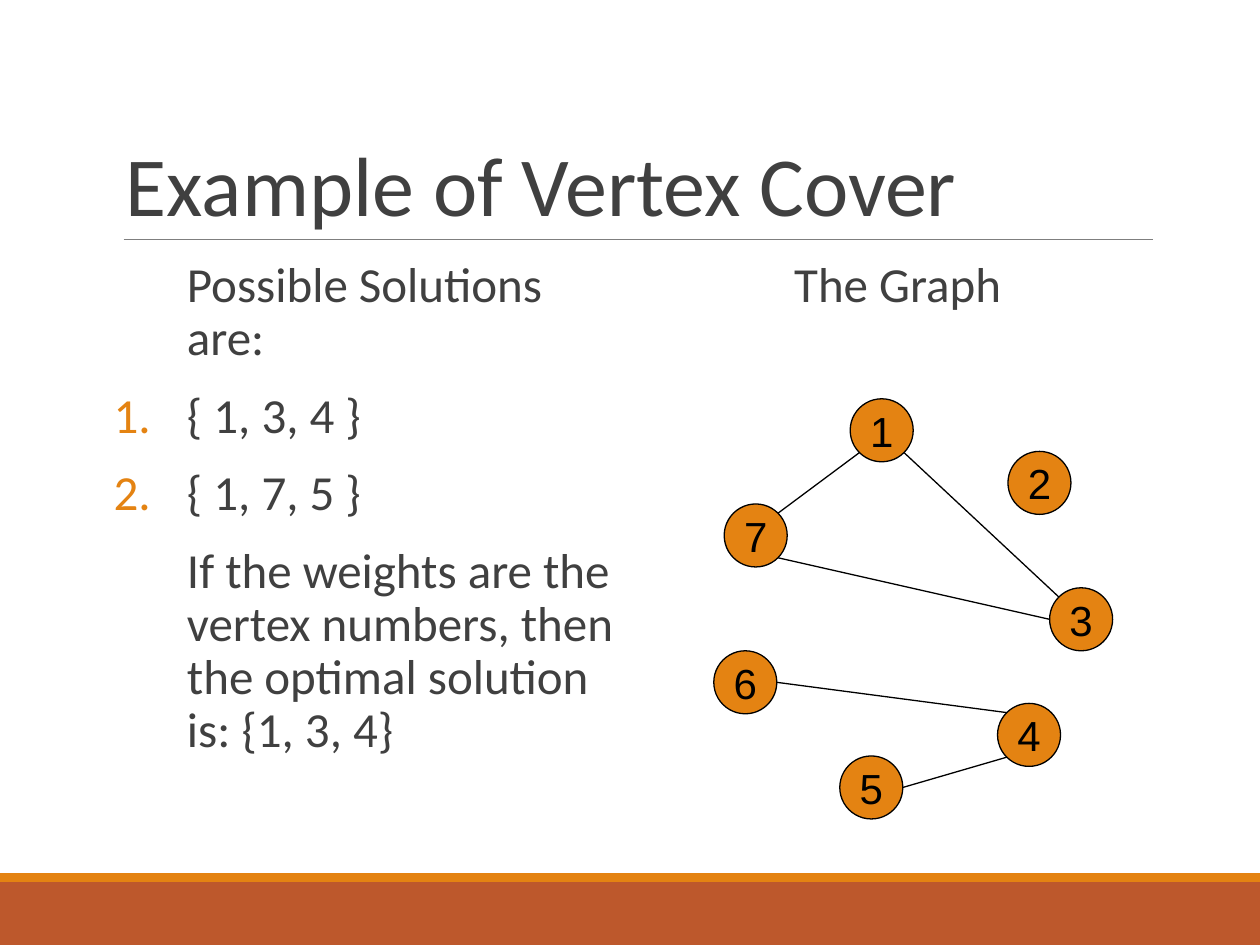
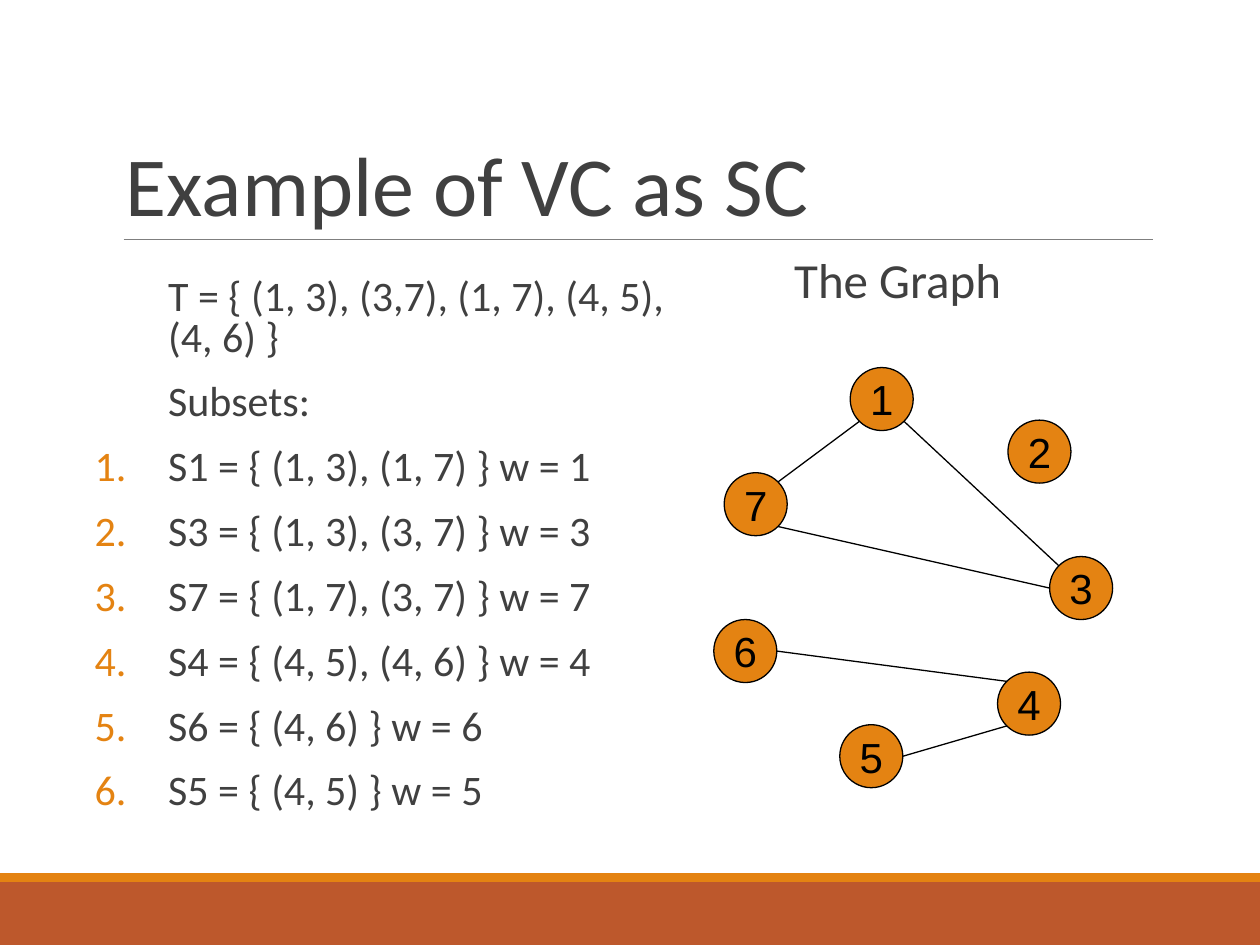
from dataclasses import dataclass

import lxml.etree
import pptx
import pptx.dml.color
import pptx.enum.shapes
import pptx.enum.text
import pptx.oxml.ns
import pptx.util

Cm = pptx.util.Cm
SHAPES = pptx.enum.shapes.MSO_SHAPE
ALIGN = pptx.enum.text.PP_ALIGN
ANCHOR = pptx.enum.text.MSO_ANCHOR

ORANGE = "E48312"
RUST = "BD582C"
INK = "404040"
GREY = "7F7F7F"
BLACK = "000000"

SLIDE_WIDTH = 25.4
SLIDE_HEIGHT = 19.05
NODE_SIZE = 1.27
GRAPH_LEFT = 14.39
HANGING = 1.48
DIAGONAL = 0.5 ** 0.5


@dataclass(frozen=True)
class Box:
    left: float
    top: float
    width: float
    height: float

    def lengths(self) -> list:
        return [Cm(value) for value in (self.left, self.top, self.width, self.height)]


@dataclass(frozen=True)
class Node:
    label: str
    left: float
    top: float


@dataclass(frozen=True)
class Edge:
    start: str
    start_side: tuple[float, float]
    end: str
    end_side: tuple[float, float]


@dataclass(frozen=True)
class Line:
    text: str
    numbered: bool = False


@dataclass(frozen=True)
class Page:
    title: str
    body: Box
    lines: list[Line]
    size: float
    spacing: float
    graph_top: float


TITLE_BOX = Box(2.29, 0.79, 20.96, 4.04)
HEADING_BOX = Box(12.95, 5.13, 10.29, 11.18)
BANDS = [
    (Box(0, 17.78, SLIDE_WIDTH, 1.27), RUST),
    (Box(0, 17.6, SLIDE_WIDTH, 0.18), ORANGE),
]

RIGHT = (1, 0)
LEFT = (-1, 0)
TOP_LEFT = (-DIAGONAL, -DIAGONAL)
TOP_RIGHT = (DIAGONAL, -DIAGONAL)
BOTTOM_LEFT = (-DIAGONAL, DIAGONAL)
BOTTOM_RIGHT = (DIAGONAL, DIAGONAL)

NODES = [
    Node("1", 2.75, 0),
    Node("2", 5.93, 1.06),
    Node("7", 0.21, 2.12),
    Node("4", 5.72, 6.14),
    Node("5", 2.54, 7.2),
    Node("3", 6.77, 3.81),
    Node("6", 0, 5.08),
]
EDGES = [
    Edge("1", BOTTOM_LEFT, "7", TOP_RIGHT),
    Edge("5", RIGHT, "4", BOTTOM_LEFT),
    Edge("3", LEFT, "7", BOTTOM_RIGHT),
    Edge("1", BOTTOM_RIGHT, "3", TOP_LEFT),
    Edge("6", RIGHT, "4", TOP_LEFT),
]

PAGES = [
    Page(
        "Example of Vertex Cover",
        Box(2.29, 5.13, 10.29, 11.18),
        [
            Line("Possible Solutions are:"),
            Line("{ 1, 3, 4 }", True),
            Line("{ 1, 7, 5 }", True),
            Line("If the weights are the vertex numbers, then the optimal solution is: {1, 3, 4}"),
        ],
        size=28,
        spacing=0.9,
        graph_top=8.04,
    ),
    Page(
        "Example of VC as SC",
        Box(1.91, 5.51, 12.27, 11.43),
        [
            Line("T = { (1, 3), (3,7), (1, 7), (4, 5), (4, 6) }"),
            Line("Subsets:"),
            Line("S1 = { (1, 3), (1, 7) } w = 1", True),
            Line("S3 = { (1, 3), (3, 7) } w = 3", True),
            Line("S7 = { (1, 7), (3, 7) } w = 7", True),
            Line("S4 = { (4, 5), (4, 6) } w = 4", True),
            Line("S6 = { (4, 6) } w = 6", True),
            Line("S5 = { (4, 5) } w = 5", True),
        ],
        size=24,
        spacing=0.8,
        graph_top=7.41,
    ),
]


def color(value: str) -> pptx.dml.color.RGBColor:
    return pptx.dml.color.RGBColor.from_string(value)


def add_child(parent, tag: str, **attributes: str):
    return lxml.etree.SubElement(parent, pptx.oxml.ns.qn(tag), attributes)


def write(paragraph, text: str, *, size: float, font: str = "Calibri", ink: str = INK,
          align=ALIGN.LEFT, spacing: float = 1.0, before: float = 0, after: float = 0):
    paragraph.alignment = align
    paragraph.line_spacing = spacing
    paragraph.space_before = pptx.util.Pt(before)
    paragraph.space_after = pptx.util.Pt(after)
    run = paragraph.add_run()
    run.text = text
    run.font.size = pptx.util.Pt(size)
    run.font.color.rgb = color(ink)
    run.font.name = font
    return run


def add_text_frame(slide, box: Box, *, side_inset: float = 0, anchor=ANCHOR.TOP):
    frame = slide.shapes.add_textbox(*box.lengths()).text_frame
    frame.word_wrap = True
    frame.vertical_anchor = anchor
    frame.margin_left = frame.margin_right = Cm(side_inset)
    return frame


def add_filled_shape(slide, kind, box: Box, fill: str):
    shape = slide.shapes.add_shape(kind, *box.lengths())
    shape.shadow.inherit = False
    shape.fill.solid()
    shape.fill.fore_color.rgb = color(fill)
    shape.line.fill.background()
    return shape


def add_line(slide, start: tuple[float, float], end: tuple[float, float],
             ink: str, width: float) -> None:
    connector = slide.shapes.add_connector(
        pptx.enum.shapes.MSO_CONNECTOR.STRAIGHT, *[Cm(value) for value in (*start, *end)])
    connector.line.color.rgb = color(ink)
    connector.line.width = pptx.util.Pt(width)
    add_child(connector._element.spPr, "a:effectLst")


def add_frame(slide, title: str) -> None:
    for box, fill in BANDS:
        add_filled_shape(slide, SHAPES.RECTANGLE, box, fill)
    add_line(slide, (2.49, 4.83), (23.24, 4.83), GREY, 0.5)
    frame = add_text_frame(slide, TITLE_BOX, side_inset=0.25, anchor=ANCHOR.BOTTOM)
    write(frame.paragraphs[0], title, size=48, spacing=0.85)


def add_body(slide, page: Page) -> None:
    frame = add_text_frame(slide, page.body)
    for index, line in enumerate(page.lines):
        paragraph = frame.add_paragraph() if index else frame.paragraphs[0]
        write(paragraph, line.text, size=page.size, spacing=page.spacing, before=12, after=2)
        properties = paragraph._p.get_or_add_pPr()
        properties.set("marL", str(Cm(HANGING)))
        if line.numbered:
            properties.set("indent", str(-Cm(HANGING)))
            add_child(add_child(properties, "a:buClr"), "a:srgbClr", val=ORANGE)
            add_child(properties, "a:buAutoNum", type="arabicPeriod")


def add_node(slide, node: Node, graph_top: float) -> None:
    box = Box(GRAPH_LEFT + node.left, graph_top + node.top, NODE_SIZE, NODE_SIZE)
    shape = add_filled_shape(slide, SHAPES.FLOWCHART_CONNECTOR, box, ORANGE)
    shape.line.color.rgb = color(BLACK)
    shape.line.width = pptx.util.Pt(0.75)
    shape.text_frame.word_wrap = False
    shape.text_frame.vertical_anchor = ANCHOR.MIDDLE
    paragraph = shape.text_frame.paragraphs[0]
    run = write(paragraph, node.label, size=24, font="Times New Roman", ink=BLACK,
                align=ALIGN.CENTER)
    paragraph._p.get_or_add_pPr().set("rtl", "1")
    add_child(run._r.get_or_add_rPr(), "a:cs", typeface="Arial")


def rim_point(node: Node, side: tuple[float, float], graph_top: float) -> tuple[float, float]:
    radius = NODE_SIZE / 2
    return (GRAPH_LEFT + node.left + radius * (1 + side[0]),
            graph_top + node.top + radius * (1 + side[1]))


def add_graph(slide, page: Page) -> None:
    heading = add_text_frame(slide, HEADING_BOX).paragraphs[0]
    write(heading, "The Graph", size=28, align=ALIGN.CENTER, spacing=page.spacing,
          before=12, after=2)
    for node in NODES:
        add_node(slide, node, page.graph_top)
    by_label = {node.label: node for node in NODES}
    for edge in EDGES:
        add_line(slide,
                 rim_point(by_label[edge.start], edge.start_side, page.graph_top),
                 rim_point(by_label[edge.end], edge.end_side, page.graph_top),
                 BLACK, 0.75)


def main() -> None:
    presentation = pptx.Presentation()
    presentation.slide_width = Cm(SLIDE_WIDTH)
    presentation.slide_height = Cm(SLIDE_HEIGHT)
    for page in PAGES:
        slide = presentation.slides.add_slide(presentation.slide_layouts[6])
        add_frame(slide, page.title)
        add_body(slide, page)
        add_graph(slide, page)
    presentation.save("out.pptx")


if __name__ == "__main__":
    main()
